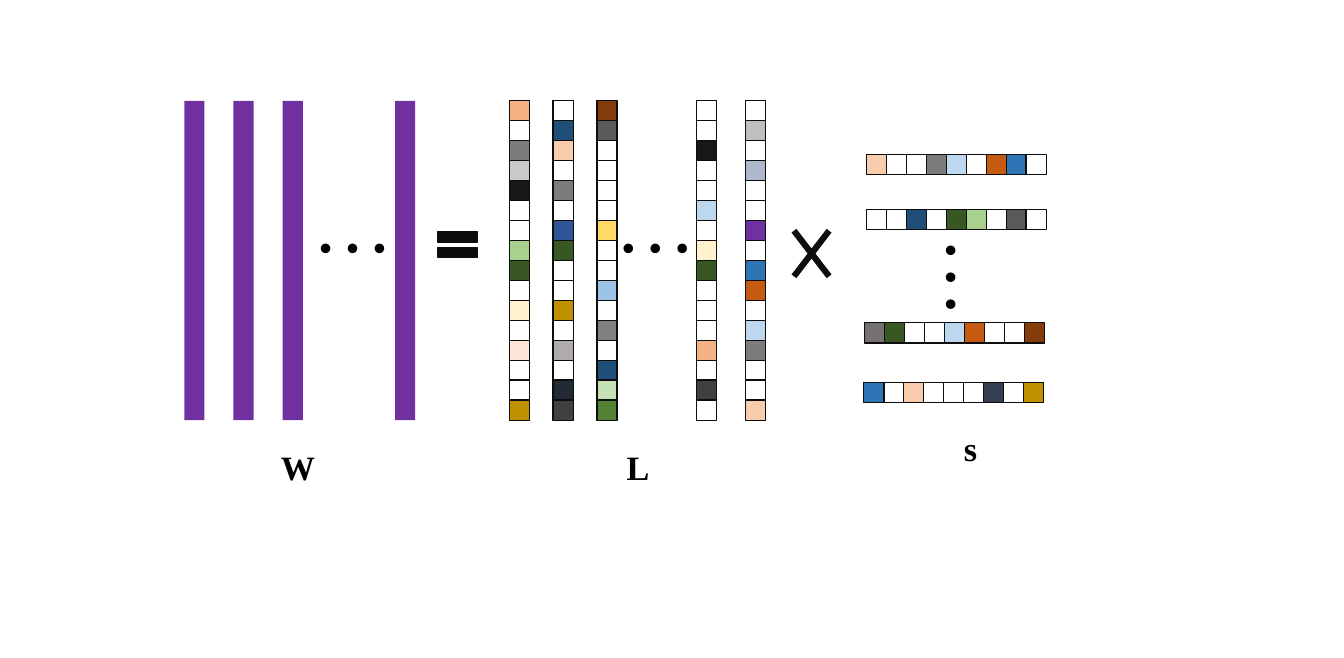
from pptx import Presentation
from pptx import util as u
from pptx.dml.color import RGBColor
from pptx.enum import shapes, text

COLORS = {
    "white": "FFFFFF", "black": "000000", "ink": "0D0D0D", "coal": "181717",
    "purple": "7030A0", "gray": "7C7C7C", "midgray": "808080", "warmgray": "767171",
    "stone": "AFABAB", "silver": "BFBFBF", "mist": "C9C9C9", "iron": "595959",
    "graphite": "404040", "night": "222A35", "slate": "333F50", "steel": "ADB9CA",
    "navy": "1F4E79", "royal": "2F5597", "blue": "2E75B6", "sky": "9DC3E6",
    "ice": "BDD7EE", "forest": "385723", "green": "548235", "leaf": "A9D18E",
    "mint": "C5E0B4", "gold": "BF9000", "yellow": "FFD966", "cream": "FFF2CC",
    "orange": "F4B183", "peach": "F8CBAD", "blush": "FBE5D6", "rust": "C55A11",
    "brown": "843C0B",
}
FONT = "Times New Roman"
CELL, TOP, BAR_H = 0.23, 1.15, 3.64

# Content: bars of W, columns of L (x, cells), rows of s (x, y, cells); "-" is unfilled
W_BARS = [2.1, 2.66, 3.22, 4.5]
L_COLUMNS = [
    (5.8, "orange white gray mist coal white white leaf "
          "forest white cream white blush white white gold"),
    (6.3, "white navy peach white gray white royal forest "
          "white white gold white stone white night graphite"),
    (6.8, "brown iron white white white white yellow white "
          "white sky white midgray white navy mint green"),
    (7.93, "white white coal white white ice white cream "
           "forest white white white orange white graphite white"),
    (8.49, "white silver white steel white white purple white "
           "blue rust white ice gray white white peach"),
]
S_ROWS = [
    (9.87, 1.76, "peach white white gray ice white rust blue white"),
    (9.87, 2.39, "- - navy - forest leaf - iron -"),
    (9.85, 3.68, "warmgray forest - - ice rust - - brown"),
    (9.84, 4.36, "blue - peach - - - slate - gold"),
]
# Text, box (left, top, width, height), size, bold, rotation
TEXTS = [
    ("…", (3.46, 1.91, 2.65, 1.21), 66, False, 0),
    ("…", (6.91, 1.91, 2.06, 1.21), 66, False, 0),
    ("…", (10.12, 3.03, 2.06, 1.21), 66, False, 90),
    ("W", (3.1, 5.04, 2.82, 0.57), 28, True, 0),
    ("L", (7.04, 5.04, 2.82, 0.57), 28, True, 0),
    ("s", (10.88, 4.82, 2.82, 0.57), 28, True, 0),
]

prs = Presentation()
prs.slide_width, prs.slide_height = u.Inches(15.31), u.Inches(7.5)
s = prs.slides.add_slide(prs.slide_layouts[6])
SHAPE = shapes.MSO_SHAPE


def color(name):
    return RGBColor.from_string(COLORS[name])


def add_shape(parent, kind, box, fill, line=None):
    sp = parent.add_shape(kind, *map(u.Inches, box))
    sp.shadow.inherit = False
    if fill == "-":
        sp.fill.background()
    else:
        sp.fill.solid()
        sp.fill.fore_color.rgb = color(fill)
    if line:
        sp.line.color.rgb = color(line)
        sp.line.width = u.Pt(1)
    else:
        sp.line.fill.background()
    return sp


def add_strip(left, top, cells, dx, dy):
    group = s.shapes.add_group_shape().shapes
    for i, fill in enumerate(cells.split()):
        box = (left + i * dx, top + i * dy, CELL, CELL)
        add_shape(group, SHAPE.RECTANGLE, box, fill, "ink")


# Solid bars of W
for left in W_BARS:
    add_shape(s.shapes, SHAPE.RECTANGLE, (left, TOP, CELL, BAR_H), "purple")

# Cell strips of L and s, all with the same step
step = (BAR_H - CELL) / 15
for left, cells in L_COLUMNS:
    add_strip(left, TOP, cells, 0, step)
for left, top, cells in S_ROWS:
    add_strip(left, top, cells, step, 0)

# Operators
add_shape(s.shapes, SHAPE.MATH_EQUAL, (4.91, 2.54, 0.61, 0.5), "ink", "ink")
times = add_shape(s.shapes, SHAPE.MATH_MULTIPLY, (8.86, 2.39, 0.77, 1), "ink")
times.adjustments[0] = 0.091

# Ellipses and labels
for words, box, size, bold, rotation in TEXTS:
    sp = s.shapes.add_textbox(*map(u.Inches, box))
    sp.rotation = rotation
    tf = sp.text_frame
    tf.word_wrap = True
    tf.auto_size = text.MSO_AUTO_SIZE.SHAPE_TO_FIT_TEXT
    r = tf.paragraphs[0].add_run()
    r.text = words
    for key, value in {"name": FONT, "size": u.Pt(size), "bold": bold}.items():
        setattr(r.font, key, value)
    r.font.color.rgb = color("black")

prs.save("out.pptx")
